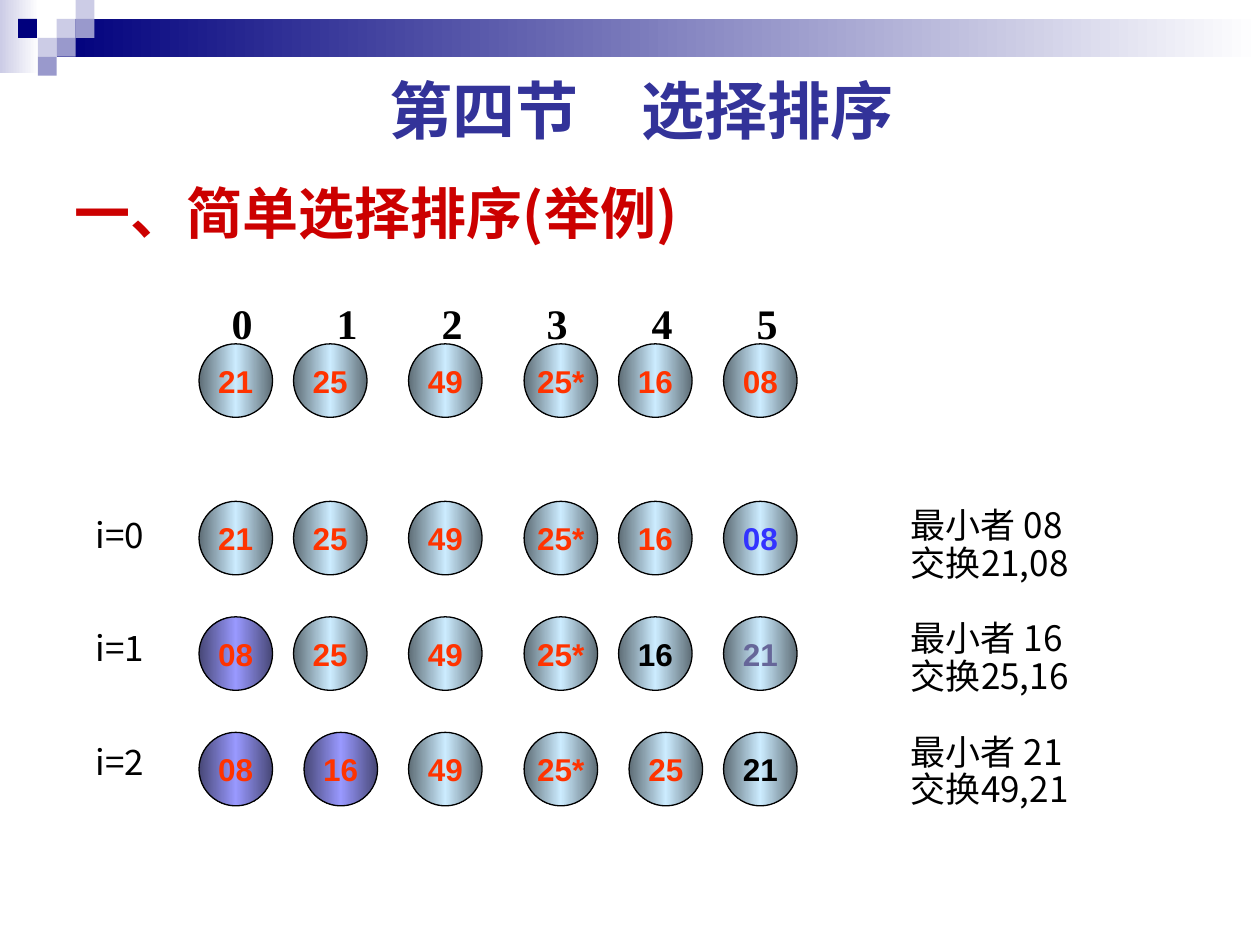
from copy import deepcopy
from dataclasses import dataclass

from lxml import etree
from pptx import Presentation
from pptx.dml.color import RGBColor
from pptx.enum.shapes import MSO_SHAPE
from pptx.enum.text import MSO_ANCHOR, PP_ALIGN
from pptx.oxml.ns import qn
from pptx.util import Pt

RECTANGLE, OVAL = MSO_SHAPE.RECTANGLE, MSO_SHAPE.OVAL
MIDDLE = MSO_ANCHOR.MIDDLE
LEFT, CENTER = PP_ALIGN.LEFT, PP_ALIGN.CENTER

BLACK = RGBColor(0x00, 0x00, 0x00)
WHITE = RGBColor(0xFF, 0xFF, 0xFF)
NAVY = RGBColor(0x00, 0x00, 0x7D)
LAVENDER = RGBColor(0xCC, 0xCC, 0xE6)
PERIWINKLE = RGBColor(0x99, 0x99, 0xCC)
INDIGO = RGBColor(0x33, 0x33, 0x99)
CRIMSON = RGBColor(0xCC, 0x00, 0x00)
ORANGE = RGBColor(0xFF, 0x33, 0x00)
BLUE = RGBColor(0x33, 0x33, 0xFF)
SLATE = RGBColor(0x66, 0x66, 0x99)
PENDING = (RGBColor(0x5E, 0x6D, 0x76), RGBColor(0xCC, 0xEC, 0xFF), RGBColor(0x5E, 0x6D, 0x76))
SORTED = (RGBColor(0x47, 0x47, 0x76), RGBColor(0x99, 0x99, 0xFF), RGBColor(0x47, 0x47, 0x76))

CJK_FONT = "Noto Sans CJK SC"
COLUMN_LEFTS = (113.75, 167.75, 233.5, 299.5, 353.5, 413.5)
CIRCLE_SIZE = 42
INDEX_STEP = 60
LINE_HEIGHT = 21.6


@dataclass(frozen=True)
class Block:
    left: float
    top: float
    width: float
    height: float
    colors: tuple


@dataclass(frozen=True)
class Ball:
    text: str
    color: RGBColor = ORANGE
    fill: tuple = PENDING
    shift: float = 0


@dataclass(frozen=True)
class Row:
    top: float
    balls: tuple


TILE = 10.8
BLOCKS = (
    Block(0, 0, 22.3, 41.8, (LAVENDER, WHITE)),
    Block(32.4, TILE, 687.6, 21.6, (NAVY, WHITE)),
    Block(32.4, TILE, TILE, TILE, (LAVENDER,)),
    Block(43.2, 0, TILE, TILE, (LAVENDER,)),
    Block(43.2, TILE, TILE, TILE, (PERIWINKLE,)),
    Block(21.6, 21.6, TILE, TILE, (LAVENDER,)),
    Block(10.3, TILE, TILE, TILE, (NAVY,)),
    Block(32.4, 21.6, TILE, TILE, (PERIWINKLE,)),
    Block(21.6, 32.4, TILE, TILE, (PERIWINKLE,)),
)

ROWS = (
    Row(196.5, (Ball("21"), Ball("25"), Ball("49"), Ball("25*"), Ball("16"), Ball("08"))),
    Row(286.5, (Ball("21"), Ball("25"), Ball("49"), Ball("25*"), Ball("16"), Ball("08", BLUE))),
    Row(352.5, (Ball("08", fill=SORTED), Ball("25"), Ball("49"), Ball("25*"),
                Ball("16", BLACK), Ball("21", SLATE))),
    Row(418.5, (Ball("08", fill=SORTED), Ball("16", fill=SORTED, shift=6), Ball("49"),
                Ball("25*"), Ball("25", shift=6), Ball("21", BLACK))),
)

STEP_LABELS = ("i=0", "i=1", "i=2")
STEP_NOTES = ("最小者 08", "交换21,08", "最小者 16", "交换25,16", "最小者 21", "交换49,21")


def style_paragraph(paragraph, size: float, font_name: str, color: RGBColor,
                    bold: bool = False, alignment=LEFT) -> None:
    paragraph.alignment = alignment
    font = paragraph.font
    font.size, font.name, font.bold = Pt(size), font_name, bold
    font.color.rgb = color
    for run in paragraph.runs:
        east_asian = etree.SubElement(run._r.get_or_add_rPr(), qn("a:ea"))
        east_asian.set("typeface", font_name)


def fill_shape(shape, colors: tuple) -> None:
    if len(colors) == 1:
        shape.fill.solid()
        shape.fill.fore_color.rgb = colors[0]
        return
    shape.fill.gradient()
    shape.fill.gradient_angle = 0
    stop_list = shape._element.spPr.find(qn("a:gradFill")).find(qn("a:gsLst"))
    for _ in colors[2:]:
        stop_list.append(deepcopy(stop_list[0]))
    for index, (stop, color) in enumerate(zip(shape.fill.gradient_stops, colors)):
        stop.position = index / (len(colors) - 1)
        stop.color.rgb = color


def add_block(slide, block: Block) -> None:
    shape = slide.shapes.add_shape(RECTANGLE, Pt(block.left), Pt(block.top),
                                   Pt(block.width), Pt(block.height))
    shape.shadow.inherit = False
    shape.line.fill.background()
    fill_shape(shape, block.colors)


def add_ball(slide, ball: Ball, left: float, top: float) -> None:
    shape = slide.shapes.add_shape(OVAL, Pt(left + ball.shift), Pt(top),
                                   Pt(CIRCLE_SIZE), Pt(CIRCLE_SIZE))
    shape.shadow.inherit = False
    shape.line.color.rgb = BLACK
    shape.line.width = Pt(0.75)
    fill_shape(shape, ball.fill)
    frame = shape.text_frame
    frame.word_wrap = False
    frame.vertical_anchor = MIDDLE
    frame.text = ball.text
    style_paragraph(frame.paragraphs[0], 18, "Arial", ball.color, True, CENTER)


def add_text(slide, left: float, top: float, width: float, height: float, text: str):
    box = slide.shapes.add_textbox(Pt(left), Pt(top), Pt(width), Pt(height))
    box.text_frame.word_wrap = True
    box.text_frame.text = text
    return box.text_frame


def add_step_text(slide, left: float, top: float, width: float, height: float,
                  lines: tuple, group_size: int, gap: float) -> None:
    frame = add_text(slide, left, top, width, height, "\n".join(lines))
    for index, paragraph in enumerate(frame.paragraphs):
        style_paragraph(paragraph, 20, CJK_FONT, BLACK)
        paragraph.line_spacing = Pt(LINE_HEIGHT)
        if index and index % group_size == 0:
            paragraph.space_before = Pt(gap)


def add_index_line(slide) -> None:
    frame = add_text(slide, 125.3, 166.3, 350, 36, "\t".join(str(i) for i in range(6)))
    paragraph = frame.paragraphs[0]
    style_paragraph(paragraph, 24, "Times New Roman", BLACK, True)
    properties = paragraph._p.get_or_add_pPr()
    tab_list = etree.Element(qn("a:tabLst"))
    for index in range(1, 6):
        tab = etree.SubElement(tab_list, qn("a:tab"))
        tab.set("pos", str(Pt(INDEX_STEP * index)))
        tab.set("algn", "l")
    properties.insert(0, tab_list)


def format_title(slide) -> None:
    title = slide.shapes.title
    title.left, title.top, title.width, title.height = Pt(35.3), Pt(94.3), Pt(450), Pt(54)
    title.text_frame.text = "一、简单选择排序(举例)"
    title.text_frame.vertical_anchor = MIDDLE
    style_paragraph(title.text_frame.paragraphs[0], 32, CJK_FONT, CRIMSON, True)


def main() -> None:
    presentation = Presentation()
    presentation.slide_width, presentation.slide_height = Pt(720), Pt(540)
    slide = presentation.slides.add_slide(presentation.slide_layouts[5])
    for block in BLOCKS:
        add_block(slide, block)
    format_title(slide)
    add_index_line(slide)
    for row in ROWS:
        for ball, left in zip(row.balls, COLUMN_LEFTS):
            add_ball(slide, ball, left, row.top)
    add_step_text(slide, 513.4, 286.5, 120, 180, STEP_NOTES, 2, LINE_HEIGHT)
    add_step_text(slide, 47.5, 292.3, 50, 223, STEP_LABELS, 1, 2 * LINE_HEIGHT)
    section = add_text(slide, 33.8, 37.4, 666, 50.4, "第四节\u3000选择排序".replace("\u3000", "　"))
    style_paragraph(section.paragraphs[0], 36, "Cabin", INDIGO, True, CENTER)
    presentation.save("out.pptx")


if __name__ == "__main__":
    main()
